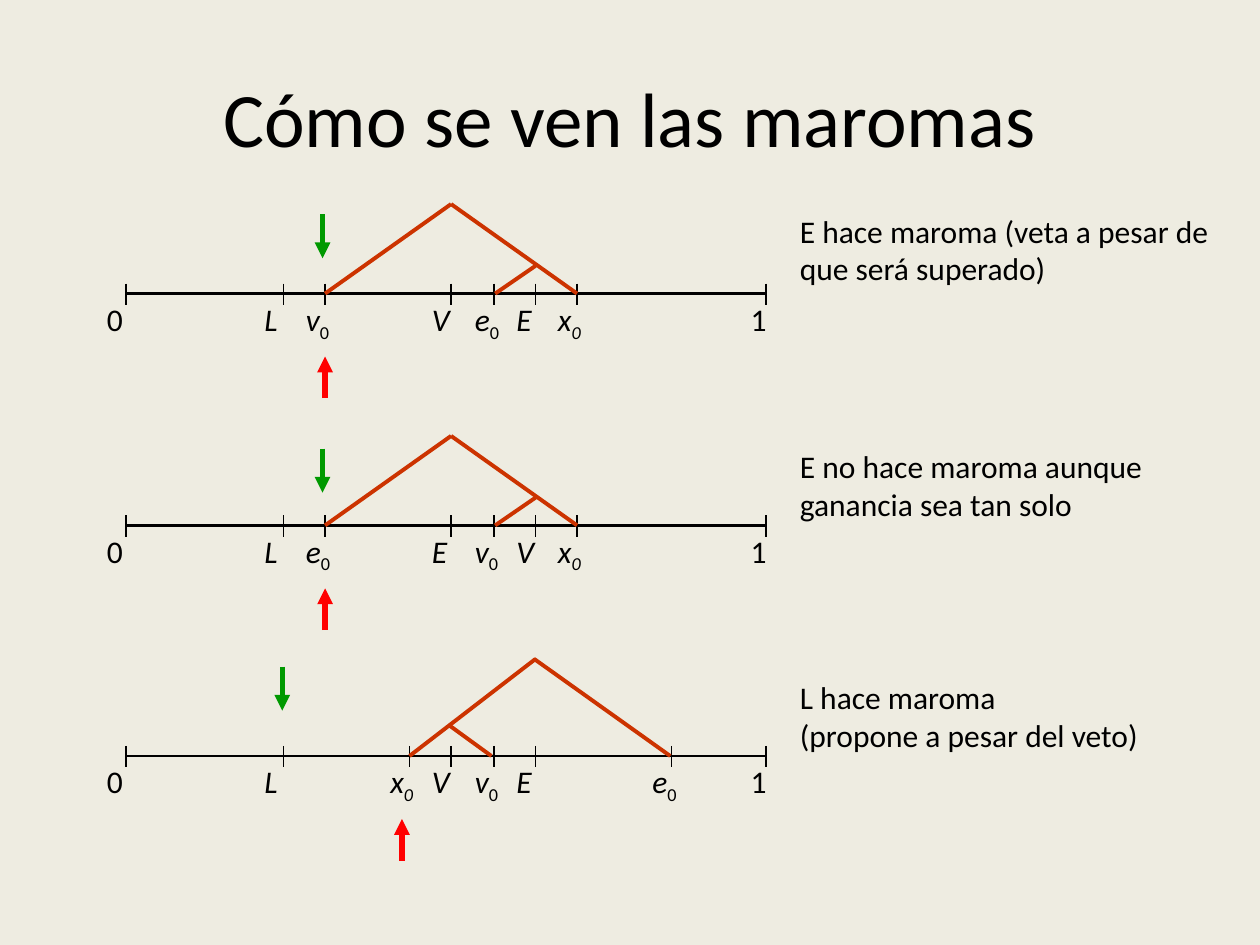
from dataclasses import dataclass
from lxml import etree
from pptx import Presentation
from pptx import util as u
from pptx.dml.color import RGBColor
from pptx.enum import shapes, text
from pptx.oxml import ns


@dataclass(frozen=True)
class Theme:
    back: str = "EEECE1"
    ink: str = "000000"
    curve: str = "CC3300"
    up: str = "FF0000"
    down: str = "009900"
    face: str = "Calibri"
    head: int = 44
    body: int = 18
    thin: float = 0.75
    axis: float = 1.5
    bold: float = 2.25
    arrow: float = 3


def write(para, words, size, face, color, italic=False, base=0):
    for row, part in enumerate(words.split("\n")):
        if row:
            para.add_line_break()
        run = para.add_run()
        run.text = part
        font = run.font
        font.size, font.name, font.italic = u.Pt(size), face, italic
        font.color.rgb = RGBColor.from_string(color)
        if base:
            run._r.get_or_add_rPr().set("baseline", str(base * 1000))


class Deck:
    """Holds the theme and the current slide, and draws each kind of element."""

    def __init__(self, theme):
        self.theme = theme
        self.show = Presentation()
        self.show.slide_width, self.show.slide_height = u.Inches(10), u.Inches(7.5)
        self.slide = self.show.slides.add_slide(self.show.slide_layouts[6])
        fill = self.slide.background.fill
        fill.solid()
        fill.fore_color.rgb = RGBColor.from_string(theme.back)

    def box(self, home, left, top, width, height):
        frame = home.shapes.add_textbox(*map(u.Inches, (left, top, width, height))).text_frame
        frame.word_wrap = True
        frame.auto_size = text.MSO_AUTO_SIZE.SHAPE_TO_FIT_TEXT
        return frame

    def title(self, words):
        frame = self.box(self.slide, 0.5, 0.3, 9, 1.25)
        frame.auto_size = text.MSO_AUTO_SIZE.NONE
        frame.vertical_anchor = text.MSO_ANCHOR.MIDDLE
        para = frame.paragraphs[0]
        para.alignment = text.PP_ALIGN.CENTER
        write(para, words, self.theme.head, self.theme.face, self.theme.ink)

    def note(self, words, top, width):
        t = self.theme
        para = self.box(self.slide, 6.25, top, width, 0.7).paragraphs[0]
        write(para, words, t.body, t.face, t.ink)

    def label(self, home, name, left, top):
        t = self.theme
        main, sub = name[0], name[1:]
        para = self.box(home, left, top, 0.5, 0.44 if sub else 0.4).paragraphs[0]
        write(para, main, t.body, t.face, t.ink, italic=main.isalpha())
        if sub:
            write(para, sub, t.body, t.face, t.ink, italic=main == "x", base=-25)

    def line(self, home, start, end, color, width, arrow=False):
        ends = map(u.Inches, (*start, *end))
        link = home.shapes.add_connector(shapes.MSO_CONNECTOR.STRAIGHT, *ends)
        link.line.color.rgb = RGBColor.from_string(color)
        link.line.width = u.Pt(width)
        props = link._element.spPr
        if arrow:
            tail = etree.SubElement(props.find(ns.qn("a:ln")), ns.qn("a:tailEnd"))
            tail.set("type", "triangle")
        etree.SubElement(props, ns.qn("a:effectLst"))

    def scale(self, y, marks, curves, push):
        t = self.theme
        group = self.slide.shapes.add_group_shape()
        self.line(group, (1, y), (6.08, y), t.ink, t.axis)
        for name, x in {"0": 1, "1": 6.08, **marks}.items():
            self.line(group, (x, y - 0.08), (x, y + 0.09), t.ink, t.thin)
            self.label(group, name, x - (0.22 if name == "1" else 0.25), y)
        for foot, peak, rise in curves:
            self.line(group, (foot, y), (peak, y - rise), t.curve, t.bold)
        self.line(group, (push, y + 0.83), (push, y + 0.5), t.up, t.arrow, arrow=True)

    def drop(self, x, top):
        t = self.theme
        self.line(self.slide, (x, top), (x, top + 0.35), t.down, t.arrow, arrow=True)


def main():
    deck = Deck(Theme())
    deck.title("Cómo se ven las maromas")
    spots = (2.25, 2.58, 3.58, 3.92, 4.25, 4.58)
    tent = [(4.58, 3.58, 0.71), (2.58, 3.58, 0.71), (3.93, 4.25, 0.22)]
    wide = [(3.25, 4.25, 0.77), (5.32, 4.24, 0.77), (3.9, 3.57, 0.24)]
    first = dict(zip(("L", "v0", "V", "e0", "E", "x0"), spots))
    second = dict(zip(("L", "e0", "E", "v0", "V", "x0"), spots))
    third = {"L": 2.25, "x0": 3.25, "V": 3.58, "v0": 3.92, "E": 4.25, "e0": 5.33}
    rows = [
        (2.33, first, tent, 2.58, (2.56, 1.7),
         ("E hace maroma (veta a pesar de que será superado)", 1.63, 3.5)),
        (4.17, second, tent, 2.58, (2.56, 3.56),
         ("E no hace maroma aunque ganancia sea tan solo", 3.5, 3.42)),
        (6, third, wide, 3.19, (2.24, 5.29),
         ("L hace maroma\n(propone a pesar del veto)", 5.33, 3.42)),
    ]
    for y, marks, curves, push, drop, note in rows:
        deck.scale(y, marks, curves, push)
        deck.note(*note)
        deck.drop(*drop)
    deck.show.save("out.pptx")


if __name__ == "__main__":
    main()
